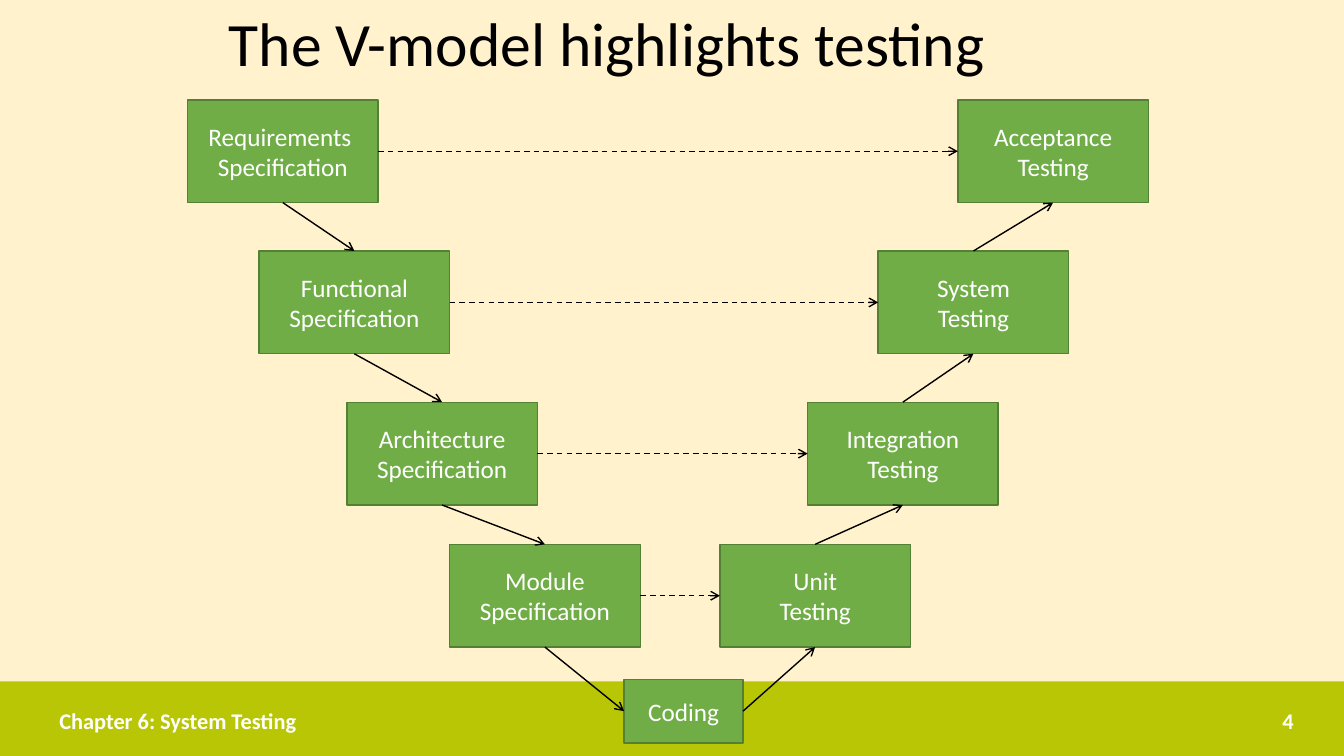
"""Build the V-model slide: specification steps down, testing steps up."""
from dataclasses import dataclass
from itertools import pairwise

from lxml.etree import SubElement
from pptx import Presentation
from pptx.dml.color import RGBColor
from pptx.enum.dml import MSO_LINE
from pptx.enum.shapes import MSO_CONNECTOR, MSO_SHAPE
from pptx.enum.text import MSO_ANCHOR, PP_ALIGN
from pptx.oxml.ns import qn
from pptx.util import Inches, Pt

FONT = "Calibri"
CREAM, LIME, GREEN, DARK_GREEN = "FFF2CC", "B8C605", "70AD47", "538035"
BLACK, WHITE = "000000", "FFFFFF"
BOX_W, BOX_H = 1.89, 1.02
TOP, LEFT, BOTTOM, RIGHT = range(4)


@dataclass
class Level:
    top: float
    spec_left: float
    spec_text: str
    test_left: float
    test_text: str


LEVELS = [
    Level(0.99, 1.86, "Requirements \nSpecification", 9.5, "Acceptance Testing"),
    Level(2.49, 2.57, "Functional\nSpecification", 8.71, "System\nTesting"),
    Level(3.99, 3.44, "Architecture\nSpecification", 8.01, "Integration\nTesting"),
    Level(5.4, 4.46, "Module\nSpecification", 7.14, "Unit\nTesting"),
]


def rgb(color: str) -> RGBColor:
    return RGBColor.from_string(color)


def write(s, text: str, size: float, color: str, align=PP_ALIGN.LEFT, bold: bool = False) -> None:
    tf = s.text_frame
    tf.text = text
    tf.word_wrap = True
    tf.vertical_anchor = MSO_ANCHOR.MIDDLE
    for p in tf.paragraphs:
        p.alignment = align
        for r in p.runs:
            r.font.name = FONT
            r.font.size = Pt(size)
            r.font.bold = bold
            r.font.color.rgb = rgb(color)


def add_rect(slide, left: float, top: float, width: float, height: float, fill: str):
    s = slide.shapes.add_shape(
        MSO_SHAPE.RECTANGLE, Inches(left), Inches(top), Inches(width), Inches(height))
    s.shadow.inherit = False
    s.fill.solid()
    s.fill.fore_color.rgb = rgb(fill)
    s.line.fill.background()
    return s


def add_step(slide, left: float, top: float, text: str, width: float = BOX_W, height: float = BOX_H):
    s = add_rect(slide, left, top, width, height, GREEN)
    s.line.color.rgb = rgb(DARK_GREEN)
    s.line.width = Pt(1)
    write(s, text, 18, WHITE, PP_ALIGN.CENTER)
    return s


def add_arrow(slide, start, start_site: int, end, end_site: int, dashed: bool = False) -> None:
    c = slide.shapes.add_connector(MSO_CONNECTOR.STRAIGHT, 0, 0, 0, 0)
    c.begin_connect(start, start_site)
    c.end_connect(end, end_site)
    c.line.color.rgb = rgb(BLACK)
    c.line.width = Pt(1)
    if dashed:
        c.line.dash_style = MSO_LINE.DASH
    SubElement(c.line._get_or_add_ln(), qn("a:tailEnd"), type="arrow")
    SubElement(c._element.spPr, qn("a:effectLst"))


def add_footer(slide, left: float, width: float, text: str, align) -> None:
    s = slide.shapes.add_textbox(Inches(left), Inches(6.95), Inches(width), Inches(0.4))
    write(s, text, 16, WHITE, align, bold=True)


def main() -> None:
    prs = Presentation()
    prs.slide_width, prs.slide_height = Inches(13.33), Inches(7.5)
    slide = prs.slides.add_slide(prs.slide_layouts[5])
    slide.background.fill.solid()
    slide.background.fill.fore_color.rgb = rgb(CREAM)

    add_rect(slide, 0, 6.76, 13.33, 0.74, LIME)
    title = slide.shapes.title
    title.left, title.top = Inches(2.17), Inches(0)
    title.width, title.height = Inches(9), Inches(0.92)
    write(title, "The V-model highlights testing", 44, BLACK)
    title.text_frame.paragraphs[0].line_spacing = 0.9
    add_footer(slide, 0.49, 6.19, "Chapter 6: System Testing", PP_ALIGN.LEFT)
    add_footer(slide, 9.42, 3.51, "4", PP_ALIGN.RIGHT)

    specs = [add_step(slide, v.spec_left, v.top, v.spec_text) for v in LEVELS]
    tests = [add_step(slide, v.test_left, v.top, v.test_text) for v in LEVELS]
    coding = add_step(slide, 6.19, 6.74, "Coding", 1.18, 0.63)

    for upper, lower in pairwise(specs):
        add_arrow(slide, upper, BOTTOM, lower, TOP)
    add_arrow(slide, specs[-1], BOTTOM, coding, LEFT)
    add_arrow(slide, coding, RIGHT, tests[-1], BOTTOM)
    for upper, lower in pairwise(tests):
        add_arrow(slide, lower, TOP, upper, BOTTOM)
    for spec, test in zip(specs, tests):
        add_arrow(slide, spec, RIGHT, test, LEFT, dashed=True)

    prs.save("out.pptx")


if __name__ == "__main__":
    main()
